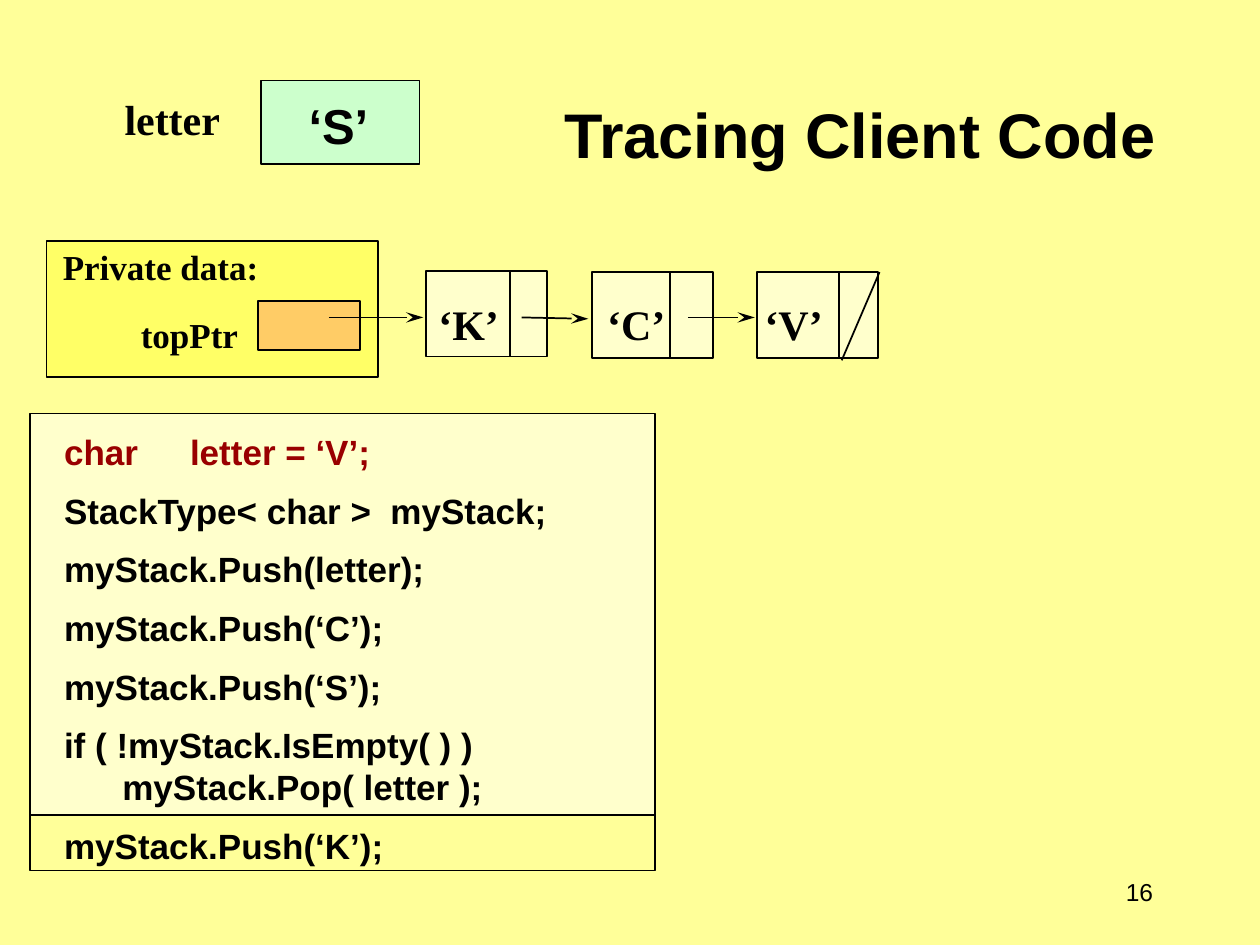
import dataclasses
import typing

import lxml.etree
import pptx
import pptx.dml.color
import pptx.enum.shapes
import pptx.enum.text
import pptx.oxml
import pptx.oxml.ns
import pptx.util

Pt = pptx.util.Pt
Align = pptx.enum.text.PP_ALIGN
Anchor = pptx.enum.text.MSO_ANCHOR


@dataclasses.dataclass(frozen=True)
class Theme:
    """Colours, fonts and type sizes."""
    background: str = "FFFF99"
    ink: str = "000000"
    accent: str = "990000"
    node: str = "FFFFCC"
    data: str = "FFFF66"
    pointer: str = "FFCC66"
    variable: str = "CCFFCC"
    sans: str = "Arial"
    serif: str = "Times New Roman"
    title: float = 36
    value: float = 28
    label: float = 24
    code: float = 20
    number: float = 14


THEME = Theme()


class Panel(typing.NamedTuple):
    left: float
    top: float
    width: float
    height: float
    fill: str


class Stroke(typing.NamedTuple):
    x1: float
    y1: float
    x2: float
    y2: float
    arrow: bool = False


class Line(typing.NamedTuple):
    text: str
    before: float = 0
    indent: float = 0
    color: str = THEME.ink


class Label(typing.NamedTuple):
    left: float
    top: float
    width: float
    height: float
    lines: list[Line]
    size: float
    font: str
    bold: bool = True
    wrap: bool = True
    tabs: tuple[float, ...] = ()
    align: Align = Align.LEFT
    anchor: Anchor = Anchor.TOP


def rgb(value: str) -> pptx.dml.color.RGBColor:
    return pptx.dml.color.RGBColor.from_string(value)


def child(parent, tag: str, **attributes: str):
    return lxml.etree.SubElement(parent, pptx.oxml.ns.qn(tag), attributes)


def format_text(target, values: dict) -> None:
    for name, value in values.items():
        setattr(target, name, value)


def style_font(para, size: float, font: str, bold: bool, color: str) -> None:
    format_text(para.font, {"size": Pt(size), "name": font, "bold": bold})
    para.font.color.rgb = rgb(color)


def draw_panel(page, panel: Panel) -> None:
    box = page.shapes.add_shape(pptx.enum.shapes.MSO_SHAPE.RECTANGLE,
                                *(Pt(value) for value in panel[:4]))
    box.shadow.inherit = False
    box.fill.solid()
    box.fill.fore_color.rgb = rgb(panel.fill)
    box.line.color.rgb = rgb(THEME.ink)
    box.line.width = Pt(1)


def draw_stroke(page, stroke: Stroke) -> None:
    line = page.shapes.add_connector(pptx.enum.shapes.MSO_CONNECTOR.STRAIGHT,
                                     *(Pt(value) for value in stroke[:4]))
    line.line.color.rgb = rgb(THEME.ink)
    line.line.width = Pt(1)
    properties = line._element.spPr
    if stroke.arrow:
        child(properties.find(pptx.oxml.ns.qn("a:ln")), "a:tailEnd",
              type="stealth", len="lg")
    child(properties, "a:effectLst")


def draw_label(page, label: Label) -> None:
    box = page.shapes.add_textbox(*(Pt(value) for value in label[:4]))
    frame = box.text_frame
    format_text(frame, {"word_wrap": label.wrap, "vertical_anchor": label.anchor})
    for index, line in enumerate(label.lines):
        para = frame.paragraphs[0] if index == 0 else frame.add_paragraph()
        para.add_run().text = line.text
        format_text(para, {"alignment": label.align, "space_before": Pt(line.before)})
        properties = para._p.get_or_add_pPr()
        properties.set("marL", str(Pt(line.indent)))
        if label.tabs:
            stops = child(properties, "a:tabLst")
            for stop in label.tabs:
                child(stops, "a:tab", pos=str(Pt(stop)), algn="l")
        style_font(para, label.size, label.font, label.bold, line.color)


def draw_title(page, text: str) -> None:
    title = page.shapes.title
    format_text(title, {"left": Pt(287.3), "top": Pt(11.5),
                        "width": Pt(408.2), "height": Pt(90)})
    frame = title.text_frame
    frame.text = text
    format_text(frame, {"word_wrap": True, "vertical_anchor": Anchor.BOTTOM,
                        "auto_size": pptx.enum.text.MSO_AUTO_SIZE.NONE})
    frame.paragraphs[0].alignment = Align.CENTER
    style_font(frame.paragraphs[0], THEME.title, THEME.sans, True, THEME.ink)


GAP = 9.5  # space between code statements
CODE = [
    Line("char\tletter = ‘V’;", color=THEME.accent),
    Line("StackType< char >  myStack;", GAP),
    Line("myStack.Push(letter);", GAP),
    Line("myStack.Push(‘C’);", GAP),
    Line("myStack.Push(‘S’);", GAP),
    Line("if ( !myStack.IsEmpty( ) )", GAP),
    Line("      myStack.Pop( letter );"),
    Line("myStack.Push(‘K’);", GAP),
]

# Linked nodes: left and top of each box, x of its divider
NODES = [(243.4, 154.8, 291.6), (338.4, 155.5, 383), (432.7, 155.5, 479.5)]
NODE_WIDTH, NODE_HEIGHT = 69.1, 49

PANELS = [
    *(Panel(left, top, NODE_WIDTH, NODE_HEIGHT, THEME.node) for left, top, _ in NODES),
    Panel(26.6, 137.5, 189.4, 77.8, THEME.data),
    Panel(147.6, 172.1, 58.3, 28.1, THEME.pointer),
    Panel(149, 46.1, 90.7, 47.5, THEME.variable),
    Panel(17.3, 236.2, 357.1, 260.6, THEME.node),
    Panel(17.3, 465.8, 357.1, 31.7, THEME.background),
]

STROKES = [
    *(Stroke(divider, top, divider, top + NODE_HEIGHT) for _, top, divider in NODES),
    Stroke(502.6, 155.5, 481, 205.9),  # null pointer
    Stroke(187.9, 181.4, 241.9, 181.4, True),
    Stroke(298.1, 181.4, 336.2, 182.2, True),
    Stroke(393.1, 181.4, 431.3, 181.4, True),
]

LABELS = [
    Label(64.1, 49.7, 69.1, 36, [Line("letter")], THEME.label, THEME.serif, wrap=False),
    Label(169.2, 51.1, 49, 41, [Line("‘S’")], THEME.value, THEME.sans, wrap=False),
    Label(28.8, 136.8, 211, 93.6,
          [Line("Private data:"), Line("topPtr", 14.8, 44.6)], THEME.code, THEME.serif),
    Label(243.4, 167, 237.6, 36, [Line("‘K’\t‘C’\t‘V’")], THEME.label, THEME.serif,
          tabs=(96.5, 186.4)),
    Label(29.5, 242.6, 353.5, 266.4, CODE, THEME.code, THEME.sans),
    Label(617.8, 491.8, 48.2, 36, [Line("16")], THEME.number, THEME.sans, bold=False,
          align=Align.RIGHT, anchor=Anchor.MIDDLE),
]


def main() -> None:
    deck = pptx.Presentation()
    format_text(deck, {"slide_width": Pt(720), "slide_height": Pt(540)})
    page = deck.slides.add_slide(deck.slide_layouts[5])
    page.background.fill.solid()
    page.background.fill.fore_color.rgb = rgb(THEME.background)

    # Title, then boxes, lines and text from back to front
    draw_title(page, "Tracing Client Code")
    for panel in PANELS:
        draw_panel(page, panel)
    for stroke in STROKES:
        draw_stroke(page, stroke)
    for label in LABELS:
        draw_label(page, label)
    deck.save("out.pptx")


if __name__ == "__main__":
    main()
